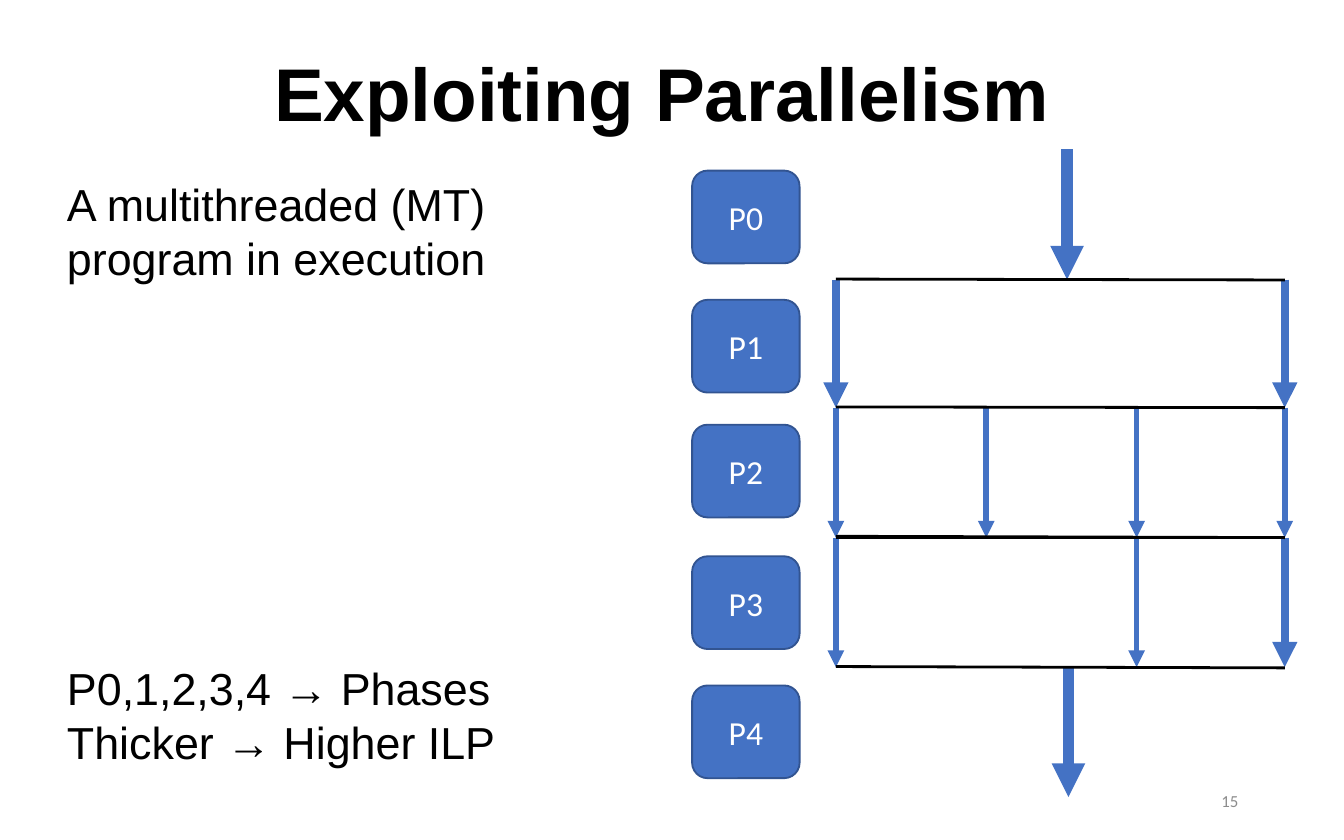
from pptx import Presentation
from pptx.dml.color import RGBColor
from pptx.enum.shapes import MSO_CONNECTOR, MSO_SHAPE
from pptx.enum.text import MSO_ANCHOR, PP_ALIGN
from pptx.oxml.ns import qn
from pptx.util import Pt
from lxml import etree

BLUE = RGBColor(0x44, 0x72, 0xC4)
DARK_BLUE = RGBColor(0x32, 0x54, 0x91)
BLACK = RGBColor(0, 0, 0)
WHITE = RGBColor(0xFF, 0xFF, 0xFF)
GRAY = RGBColor(0x8C, 0x8C, 0x8C)
STRAIGHT = MSO_CONNECTOR.STRAIGHT
ROUNDED = MSO_SHAPE.ROUNDED_RECTANGLE
TOP, MIDDLE = MSO_ANCHOR.TOP, MSO_ANCHOR.MIDDLE
LEFT, CENTER, RIGHT = PP_ALIGN.LEFT, PP_ALIGN.CENTER, PP_ALIGN.RIGHT

PHASE_TOPS = (91.4, 160.6, 227.5, 298, 367.2)
THICK, MEDIUM, THIN = 6, 4.5, 3
# Each phase lists its threads as (horizontal fraction, thickness).
THREADS = (
    ((0.515, THICK),),
    ((0, MEDIUM), (1, MEDIUM)),
    ((0, THIN), (0.335, THIN), (0.67, THIN), (1, THIN)),
    ((0, THIN), (0.67, THIN), (1, MEDIUM)),
    ((0.518, THICK),),
)
LEVELS = (0, 69.8, 138.4, 208, 277.4, 347)
BARRIERS = ((69.5, 70), (138, 138.4), (207.3, 208), (208, 208), (277.1, 277.8))


def write_text(frame, lines, size, font="Arial", color=BLACK, bold=False,
               align=LEFT, anchor=TOP, spacing=None, gaps=()):
    """Fill a text frame; gaps gives the space before each later paragraph."""
    frame.word_wrap = True
    frame.vertical_anchor = anchor
    for index, line in enumerate(lines):
        para = frame.paragraphs[0] if index == 0 else frame.add_paragraph()
        para.alignment = align
        if spacing:
            para.line_spacing = spacing
        if index and gaps:
            para.space_before = Pt(gaps[index - 1])
        span = para.add_run()
        span.text = line
        span.font.size = Pt(size)
        span.font.name = font
        span.font.bold = bold
        span.font.color.rgb = color


def add_line(page, start, end, color, width, arrow=False):
    """Draw a straight line, optionally with an arrowhead at its end."""
    line = page.shapes.add_connector(STRAIGHT, *map(Pt, start + end))
    line.line.color.rgb = color
    line.line.width = Pt(width)
    properties = line._element.spPr
    if arrow:
        etree.SubElement(line.line._get_or_add_ln(), qn("a:tailEnd"), type="triangle")
    etree.SubElement(properties, qn("a:effectLst"))


def add_title(page, left, top, width, height):
    """Place and format the title placeholder."""
    title = page.shapes.title
    title.left, title.top, title.width, title.height = map(Pt, (left, top, width, height))
    write_text(title.text_frame, ["Exploiting Parallelism "], 40, bold=True,
               align=CENTER, anchor=MIDDLE, spacing=0.9)


def add_notes(page, left, top, width, height):
    """Place the description with its legend at the bottom."""
    pitch = 28.8
    box = page.shapes.add_textbox(*map(Pt, (left, top, width, height)))
    write_text(box.text_frame,
               ["A multithreaded (MT) program in execution",
                "P0,1,2,3,4 → Phases", "Thicker → Higher ILP"],
               24, spacing=Pt(pitch), gaps=(7 * pitch, 0))


def add_phases(page, left, width, height):
    """Place the column of phase labels."""
    for index, top in enumerate(PHASE_TOPS):
        box = page.shapes.add_shape(ROUNDED, *map(Pt, (left, top, width, height)))
        box.shadow.inherit = False
        box.fill.solid()
        box.fill.fore_color.rgb = BLUE
        box.line.color.rgb = DARK_BLUE
        box.line.width = Pt(1)
        write_text(box.text_frame, [f"P{index}"], 18, font="Calibri", color=WHITE,
                   align=CENTER, anchor=MIDDLE)


def add_execution(page, left, top, width):
    """Draw the threads of each phase and the barriers between phases."""
    for start, end, threads in zip(LEVELS, LEVELS[1:], THREADS):
        for fraction, thickness in threads:
            x = left + fraction * width
            add_line(page, (x, top + start), (x, top + end), BLUE, thickness, arrow=True)
    for start, end in BARRIERS:
        add_line(page, (left, top + start), (left + width, top + end), BLACK, 1.5)


def add_page_number(page, left, top, width, height):
    """Place the page number."""
    box = page.shapes.add_textbox(*map(Pt, (left, top, width, height)))
    write_text(box.text_frame, ["15"], 9, font="Calibri", color=GRAY,
               align=RIGHT, anchor=MIDDLE)


def main():
    """Build and save the deck."""
    deck = Presentation()
    deck.slide_width, deck.slide_height = Pt(720), Pt(450)
    page = deck.slides.add_slide(deck.slide_layouts[5])
    add_title(page, 49.5, 8.6, 621, 87)
    add_page_number(page, 508.5, 417, 162, 24)
    add_execution(page, 447.8, 80, 240.5)
    add_phases(page, 370.8, 57.6, 49.7)
    add_notes(page, 28.8, 91.4, 306, 327)
    deck.save("out.pptx")


if __name__ == "__main__":
    main()
